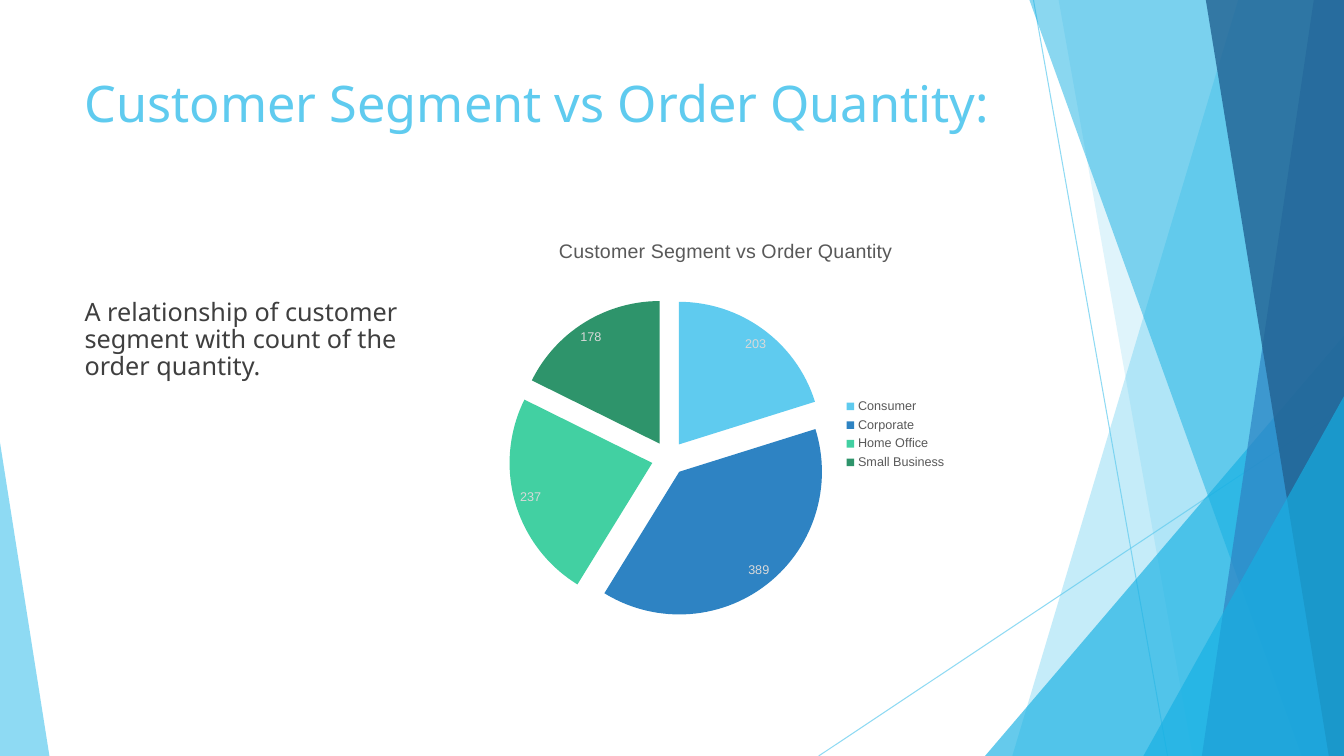
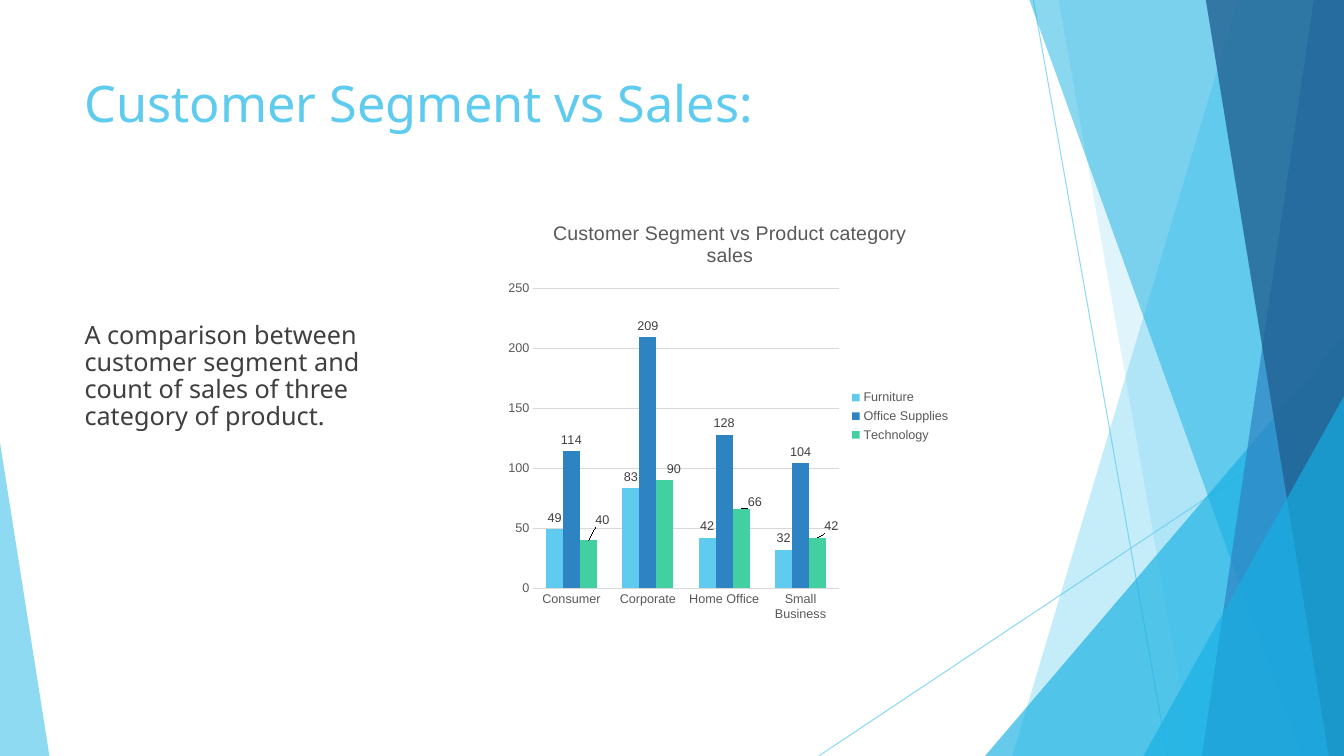
from lxml.etree import SubElement
from pptx import Presentation
from pptx.chart.data import CategoryChartData
from pptx.dml.color import RGBColor
from pptx.enum.chart import XL_CHART_TYPE, XL_LABEL_POSITION, XL_LEGEND_POSITION, XL_TICK_MARK
from pptx.enum.shapes import MSO_CONNECTOR, MSO_SHAPE
from pptx.oxml import parse_xml
from pptx.oxml.ns import nsdecls, qn
from pptx.util import Inches, Pt

WIDTH, HEIGHT = 13.33, 7.5
SKY, CYAN, BLUE, NAVY = "5FCBEF", "16B0E3", "2E83C3", "226292"
MINT, GREEN = "42D0A2", "2E946B"
BODY, LABEL, MUTED, PALE = "3F3F3F", "404040", "595959", "D9D9D9"
TEXT_FONT, CHART_FONT = "Noto Sans", "Arial"
SEGMENTS = ["Consumer", "Corporate", "Home Office", "Small Business"]


def rgb(value):
    return RGBColor.from_string(value)


def style_font(font, size, color, name=CHART_FONT):
    font.size, font.name, font.bold = Pt(size), name, False
    font.color.rgb = rgb(color)


def write(frame, text, size, color, name=TEXT_FONT, spacing=1.0):
    paragraph = frame.paragraphs[0]
    paragraph.line_spacing = spacing
    run = paragraph.add_run()
    run.text = text
    style_font(run.font, size, color, name)


def set_opacity(shape, percent):
    for color in shape._element.spPr.iter(qn("a:srgbClr")):
        SubElement(color, qn("a:alpha")).set("val", str(percent * 1000))


class Deck:
    """Holds the shared style and the slide being built."""

    def __init__(self):
        self.presentation = Presentation()
        self.presentation.slide_width = Inches(WIDTH)
        self.presentation.slide_height = Inches(HEIGHT)
        self.shapes = None

    def new_slide(self, title):
        slide = self.presentation.slides.add_slide(self.presentation.slide_layouts[6])
        self.shapes = slide.shapes
        self.backdrop()
        self.text(title, (0.74, 0.67, 9.4, 1.44), size=36, color=SKY)

    def backdrop(self):
        self.line((10.25, 0), (11.58, HEIGHT))
        self.line((WIDTH, 4.03), (8.12, HEIGHT))
        self.band(12.28, 10.04, SKY, 36)
        self.band(10.5, 11.83, SKY, 20)
        self.triangle(9.77, 3.33, 3.56, 1, CYAN, 66)
        self.band(10.21, 12.91, CYAN, 50)
        self.band(13.03, 11.92, BLUE, 70)
        self.band(11.96, 13.18, NAVY, 80)
        self.triangle(11.34, 3.93, 1.99, 1, CYAN, 66)
        self.triangle(0, 4.39, 0.49, 0, SKY, 70)

    def line(self, start, end):
        ray = self.shapes.add_connector(MSO_CONNECTOR.STRAIGHT, *map(Inches, start + end))
        ray.line.color.rgb = rgb(SKY)
        ray.line.width = Pt(0.75)
        set_opacity(ray, 70)
        SubElement(ray._element.spPr, qn("a:effectLst"))

    def paint(self, shape, color, opacity):
        shape.shadow.inherit = False
        shape.fill.solid()
        shape.fill.fore_color.rgb = rgb(color)
        shape.line.fill.background()
        set_opacity(shape, opacity)

    def band(self, top_x, bottom_x, color, opacity):
        outline = self.shapes.build_freeform(Inches(top_x), 0)
        corners = [(WIDTH, 0), (WIDTH, HEIGHT), (bottom_x, HEIGHT)]
        outline.add_line_segments([(Inches(x), Inches(y)) for x, y in corners])
        self.paint(outline.convert_to_shape(), color, opacity)

    def triangle(self, left, top, width, apex, color, opacity):
        box = map(Inches, (left, top, width, HEIGHT - top))
        wedge = self.shapes.add_shape(MSO_SHAPE.ISOSCELES_TRIANGLE, *box)
        wedge.adjustments[0] = apex
        self.paint(wedge, color, opacity)

    def text(self, text, box, **style):
        frame = self.shapes.add_textbox(*map(Inches, box)).text_frame
        frame.word_wrap = True
        write(frame, text, **style)

    def chart(self, kind, title, box, series):
        data = CategoryChartData()
        data.categories = SEGMENTS
        for name, values in series.items():
            data.add_series(name, values)
        chart = self.shapes.add_chart(kind, *map(Inches, box), data).chart
        style_font(chart.font, 10, "000000")
        write(chart.chart_title.text_frame, title, 14, MUTED, CHART_FONT)
        chart.has_legend = True
        chart.legend.position = XL_LEGEND_POSITION.RIGHT
        chart.legend.include_in_layout = False
        style_font(chart.legend.font, 9, MUTED)
        return chart

    def show_values(self, series, position, color):
        labels = series.data_labels
        labels.show_value = True
        labels.position = position
        style_font(labels.font, 9, color)

    def pie(self, title, box, values, colors):
        chart = self.chart(XL_CHART_TYPE.PIE, title, box, {"Series 1": values})
        quantity = chart.plots[0].series[0]
        for index, color in enumerate(colors):
            fill = quantity.points[index].format.fill
            fill.solid()
            fill.fore_color.rgb = rgb(color)
        for point in quantity._element.findall(qn("c:dPt")):
            point.find(qn("c:idx")).addnext(parse_xml(f'<c:explosion {nsdecls("c")} val="12"/>'))
        self.show_values(quantity, XL_LABEL_POSITION.BEST_FIT, PALE)

    def columns(self, title, box, series, colors):
        chart = self.chart(XL_CHART_TYPE.COLUMN_CLUSTERED, title, box, series)
        plot = chart.plots[0]
        plot.gap_width, plot.overlap, plot.vary_by_categories = 150, 0, False
        for category, color in zip(plot.series, colors):
            category.format.fill.solid()
            category.format.fill.fore_color.rgb = rgb(color)
            self.show_values(category, XL_LABEL_POSITION.OUTSIDE_END, LABEL)
        for axis in (chart.category_axis, chart.value_axis):
            axis.major_tick_mark = axis.minor_tick_mark = XL_TICK_MARK.NONE
            axis.format.line.fill.background()
            style_font(axis.tick_labels.font, 9, MUTED)
        grid = chart.value_axis.major_gridlines.format.line
        grid.color.rgb = rgb(PALE)
        grid.width = Pt(0.75)
        return chart

    def shift_labels(self, series, offsets):
        for index in range(len(offsets)):
            label = series.points[index].data_label
            label.position = XL_LABEL_POSITION.OUTSIDE_END
            style_font(label.font, 9, LABEL)
        for label, (x, y) in zip(series._element.iter(qn("c:dLbl")), offsets):
            label.find(qn("c:idx")).addnext(parse_xml(
                f'<c:layout {nsdecls("c")}><c:manualLayout>'
                f'<c:x val="{x}"/><c:y val="{y}"/></c:manualLayout></c:layout>'))


def main():
    deck = Deck()

    deck.new_slide("Customer Segment vs Order Quantity:")
    deck.text("A relationship of customer segment with count of the order quantity.",
              (0.74, 2.92, 3.55, 3.69), size=18, color=BODY, spacing=0.9)
    deck.pie("Customer Segment vs Order Quantity", (4.91, 2.19, 4.58, 4.24),
             [203, 389, 237, 178], [SKY, BLUE, MINT, GREEN])

    deck.new_slide("Customer Segment vs Sales:")
    deck.text("A comparison between customer segment and count of sales of three category of product.",
              (0.74, 3.15, 3.6, 3.46), size=18, color=BODY, spacing=0.9)
    sales = {
        "Furniture": [49, 83, 42, 32],
        "Office Supplies": [114, 209, 128, 104],
        "Technology": [40, 90, 66, 42],
    }
    chart = deck.columns("Customer Segment vs Product category sales",
                         (4.95, 2.01, 4.58, 4.24), sales, [SKY, BLUE, MINT])
    deck.shift_labels(chart.plots[0].series[2],
                      [(0.03, -0.02), (0.02, 0), (0.03, 0.01), (0.03, 0)])

    deck.presentation.save("out.pptx")


if __name__ == "__main__":
    main()
